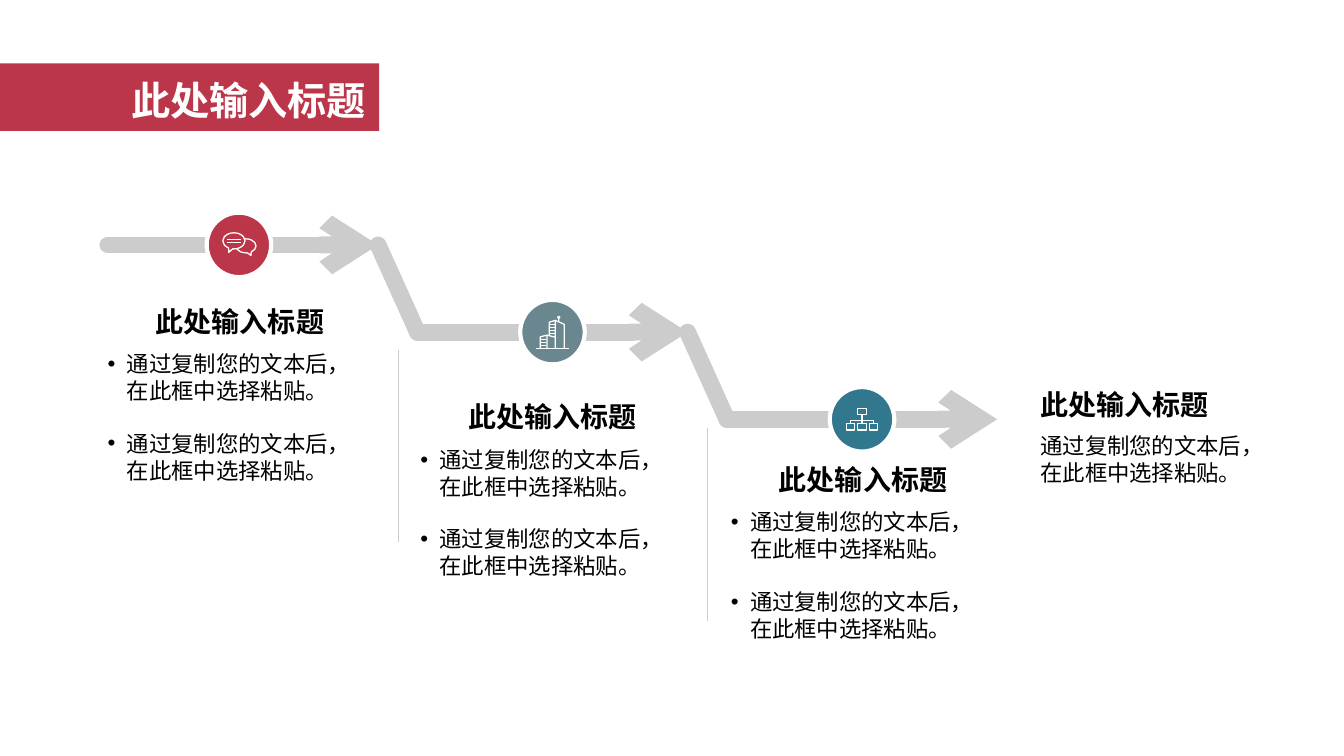
import pptx
import pptx.util
import pptx.dml.color
import pptx.enum.shapes
import pptx.enum.text
import pptx.oxml
import pptx.oxml.ns

Inches = pptx.util.Inches
Pt = pptx.util.Pt
SHAPES = pptx.enum.shapes.MSO_SHAPE
ALIGN = pptx.enum.text.PP_ALIGN
ANCHOR = pptx.enum.text.MSO_ANCHOR

COLORS = {"red": "BC3649", "slate": "6A868F", "teal": "31778D",
          "grey": "CCCCCC", "white": "FFFFFF", "black": "000000"}
RGB = {name: pptx.dml.color.RGBColor.from_string(code) for name, code in COLORS.items()}
HEADING = "此处输入标题"
BODY = "通过复制您的文本后，在此框中选择粘贴。"
TITLE_FONT = {"size": Pt(28), "bold": True, "name": "Noto Sans CJK SC"}
HEADING_FONT = {"size": Pt(20), "bold": True, "name": "Arial"}
BODY_FONT = {"size": Pt(16), "bold": False, "name": "Arial"}

deck = pptx.Presentation()
deck.slide_width, deck.slide_height = Inches(13.33), Inches(7.5)
page = deck.slides.add_slide(deck.slide_layouts[6])


def write(box, lines, font, color="black", align=ALIGN.LEFT, anchor=ANCHOR.TOP,
          wrap=True, bullets=False):
    frame = box.text_frame
    frame.word_wrap = wrap
    frame.vertical_anchor = anchor
    for number, line in enumerate(lines):
        para = frame.paragraphs[0] if number == 0 else frame.add_paragraph()
        para.alignment = align
        if bullets:
            props = para._p.get_or_add_pPr()
            props.set("marL", str(Inches(0.19)))
            props.set("indent", str(-Inches(0.19)))
            if number < len(lines) - 1:
                para.space_after = Pt(18.5)
            for tag, key, value in (("buFont", "typeface", "Arial"), ("buChar", "char", "•")):
                mark = pptx.oxml.parse_xml(f'<a:{tag} {pptx.oxml.ns.nsdecls("a")} {key}="{value}"/>')
                props.append(mark)
        span = para.add_run()
        span.text = line
        for attribute, value in font.items():
            setattr(span.font, attribute, value)
        span.font.color.rgb = RGB[color]
        east = pptx.oxml.parse_xml(
            f'<a:ea {pptx.oxml.ns.nsdecls("a")} typeface="{font["name"]}"/>')
        span.font._element.append(east)


def add_line(start, end, width, round_cap=False, arrow=False):
    line = page.shapes.add_connector(pptx.enum.shapes.MSO_CONNECTOR.STRAIGHT,
                                     *(Inches(value) for value in start + end))
    line.line.color.rgb = RGB["grey"]
    line.line.width = Pt(width)
    props = line._element.spPr
    props.append(pptx.oxml.parse_xml(f'<a:effectLst {pptx.oxml.ns.nsdecls("a")}/>'))
    outline = line.line._get_or_add_ln()
    if round_cap:
        outline.set("cap", "rnd")
    if arrow:
        outline.append(pptx.oxml.parse_xml(
            f'<a:tailEnd {pptx.oxml.ns.nsdecls("a")} type="arrow"/>'))


# Title banner
banner = page.shapes.add_shape(SHAPES.RECTANGLE, 0, Inches(0.63), Inches(3.76), Inches(0.67))
banner.shadow.inherit = False
banner.fill.solid()
banner.fill.fore_color.rgb = RGB["red"]
banner.line.fill.background()
title = page.shapes.add_textbox(Inches(1.11), Inches(0.71), Inches(2.62), Inches(0.57))
write(title, [HEADING], TITLE_FONT, "white", ALIGN.RIGHT, wrap=False)
title.text_frame.auto_size = pptx.enum.text.MSO_AUTO_SIZE.SHAPE_TO_FIT_TEXT

# Column dividers
for left, top in ((3.95, 3.47), (7.02, 4.25)):
    add_line((left, top), (left, top + 1.91), 0.5)

# Column texts
for left, heading_top, body_height in ((0.97, 2.84, 1.23), (4.07, 3.79, 1.23), (7.15, 4.41, 1.53)):
    body = page.shapes.add_shape(SHAPES.SNIP_2_SAME_RECTANGLE, Inches(left),
                                 Inches(heading_top + 0.585), Inches(2.82), Inches(body_height))
    body.adjustments[0] = body.adjustments[1] = 0
    body.shadow.inherit = False
    body.fill.background()
    body.line.fill.background()
    write(body, [BODY, BODY], BODY_FONT, bullets=True)
    heading = page.shapes.add_textbox(Inches(left), Inches(heading_top), Inches(2.82), Inches(0.56))
    write(heading, [HEADING], HEADING_FONT, align=ALIGN.CENTER, anchor=ANCHOR.BOTTOM, wrap=False)

# Descending path
STEP_X, STEP_Y, RUN = 3.07, 0.865, 2.68
steps = [(1.07 + STEP_X * n, 2.43 + STEP_Y * n) for n in range(3)]
for here, after in zip(steps, steps[1:]):
    add_line((here[0] + RUN, here[1]), after, 12, round_cap=True)
for x, y in steps:
    add_line((x, y), (x + RUN, y), 12, round_cap=True, arrow=True)

# Icon strokes, in thousandths of an inch from the circle's centre
chat = [[(-120, y), (20, y)] for y in (-50, -25)]
building = [
    [(-160, 160), (165, 160)],
    [(-122, 160), (-122, 47), (-55, 30), (-55, 160)],
    [(-55, 30), (27, 50)],
    [(-32, 35), (-32, -98), (27, -117), (27, 160)],
    [(27, -117), (116, -78), (116, 160)],
    [(62, -102), (62, -135), (51, -146), (62, -157), (73, -146), (62, -135)],
]
building += [[(-20, y), (22, y)] for y in (-75, -45, -15, 15)]
building += [[(-112, y), (-68, y)] for y in (75, 105, 130)]
chart = [[(0, -45), (0, 45)], [(-115, 45), (-115, 15), (115, 15), (115, 45)]]
chart += [[(x - 42, y), (x + 42, y), (x + 42, y + 62), (x - 42, y + 62), (x - 42, y)]
          for x, y in ((0, -108), (-115, 45), (0, 45), (115, 45))]

# Circles with icons
for x, (_, y), color, strokes in zip((2.37, 5.48, 8.55), steps, ("red", "slate", "teal"),
                                     (chat, building, chart)):
    circle = page.shapes.add_shape(SHAPES.OVAL, Inches(x - 0.32), Inches(y - 0.32),
                                   Inches(0.64), Inches(0.64))
    circle.shadow.inherit = False
    circle.fill.solid()
    circle.fill.fore_color.rgb = RGB[color]
    circle.line.color.rgb = RGB["white"]
    circle.line.width = Pt(3)
    icon = []
    if strokes is chat:
        for dx, dy, width, height, tail in ((-0.03, -0.06, 0.2, 0.14, (0.25, 0.68)),
                                            (-0.16, -0.12, 0.22, 0.16, (-0.23, 0.72))):
            bubble = page.shapes.add_shape(SHAPES.OVAL_CALLOUT, Inches(x + dx), Inches(y + dy),
                                           Inches(width), Inches(height))
            bubble.adjustments[0], bubble.adjustments[1] = tail
            bubble.fill.solid()
            bubble.fill.fore_color.rgb = RGB[color]
            icon.append(bubble)
    points = [[(round(x * 1000) + dx, round(y * 1000) + dy) for dx, dy in stroke]
              for stroke in strokes]
    builder = page.shapes.build_freeform(*points[0][0], scale=914.4)
    builder.add_line_segments(points[0][1:], close=False)
    for stroke in points[1:]:
        builder.move_to(*stroke[0])
        builder.add_line_segments(stroke[1:], close=False)
    drawing = builder.convert_to_shape()
    drawing.fill.background()
    for part in icon + [drawing]:
        part.shadow.inherit = False
        part.line.color.rgb = RGB["white"]
        part.line.width = Pt(0.9)

# Closing text at the end of the path
closing = page.shapes.add_textbox(Inches(10.22), Inches(4.24), Inches(2.31), Inches(0.61))
write(closing, [BODY], BODY_FONT)
closing_heading = page.shapes.add_textbox(Inches(10.22), Inches(3.79), Inches(2.31), Inches(0.45))
write(closing_heading, [HEADING], HEADING_FONT, wrap=False)

deck.save("out.pptx")
